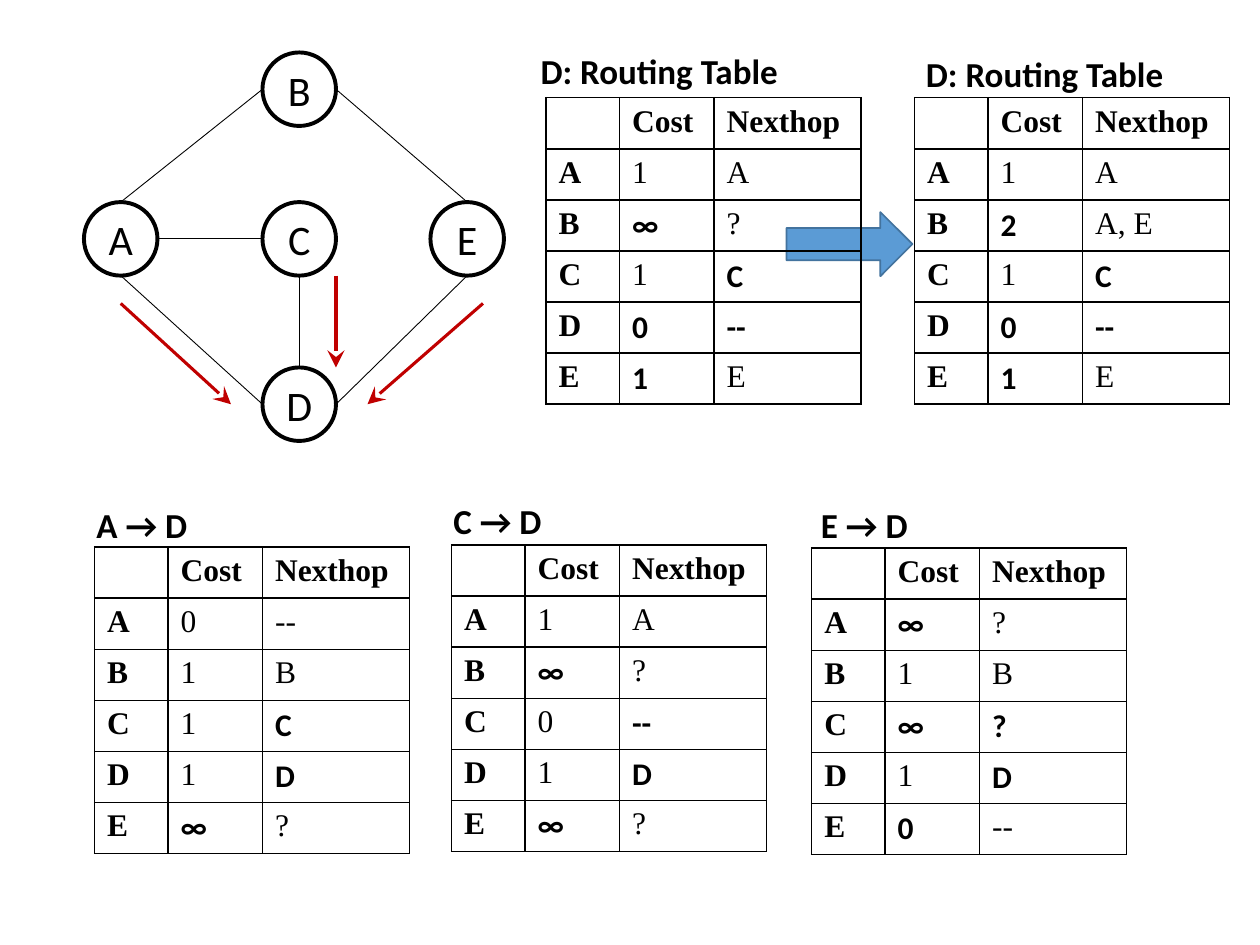
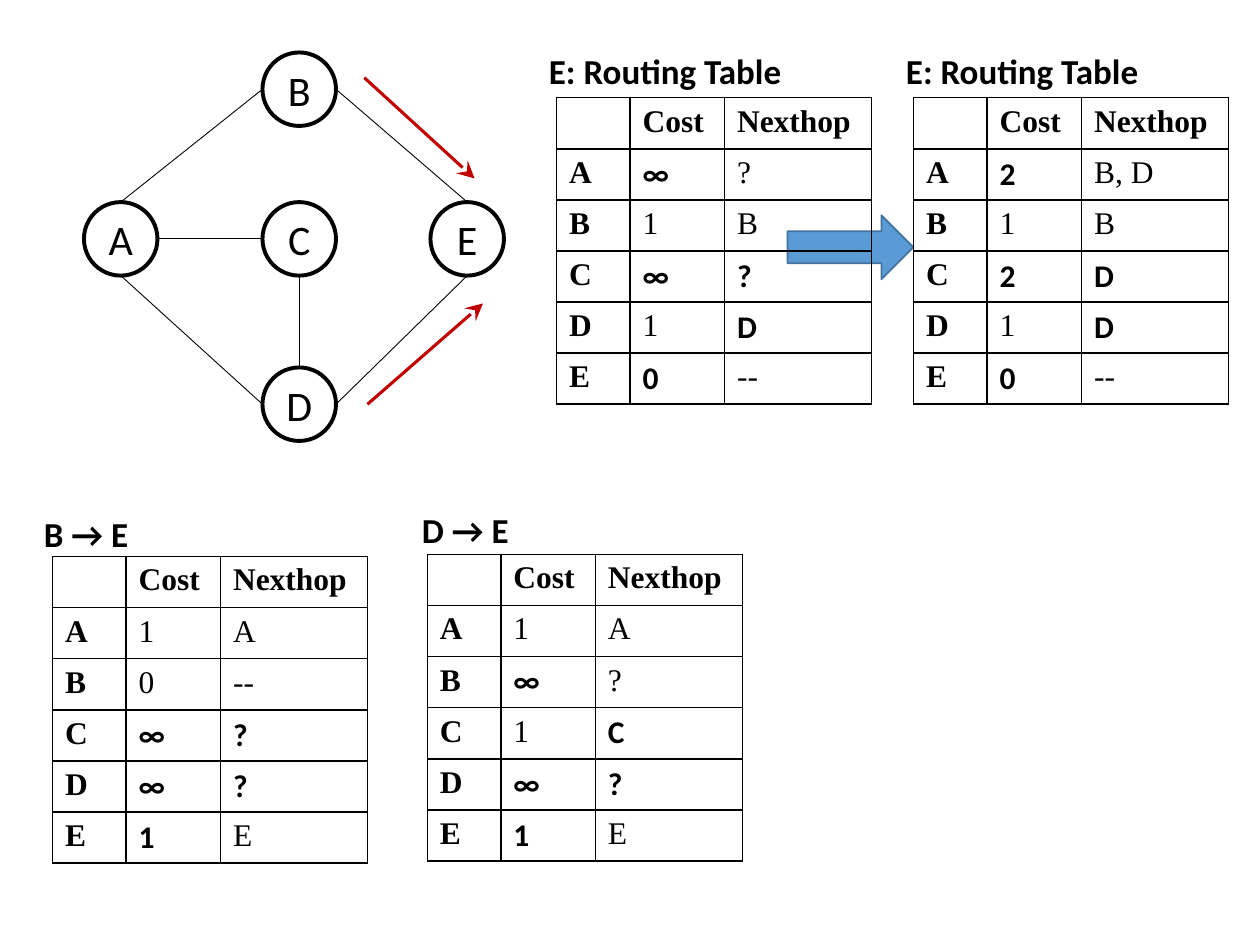
"""Build two slides that show distance-vector routing tables converging at nodes D and E."""
from dataclasses import dataclass

from lxml.etree import SubElement
from pptx import Presentation
from pptx.dml.color import RGBColor as Color
from pptx.enum.shapes import MSO_CONNECTOR as Connector, MSO_SHAPE as Shape
from pptx.enum.text import MSO_ANCHOR as Anchor, PP_ALIGN as Align
from pptx.oxml.ns import qn
from pptx.util import Inches, Pt


@dataclass(frozen=True)
class Theme:
    ink: Color = Color.from_string("000000")
    paper: Color = Color.from_string("FFFFFF")
    message: Color = Color.from_string("C00000")
    step: Color = Color.from_string("5B9BD5")
    step_edge: Color = Color.from_string("43739E")
    sans: str = "Calibri"
    serif: str = "Times New Roman"
    node_size: int = 24
    title_size: int = 20
    cell_size: int = 18


theme = Theme()
GRID_COLUMNS, GRID_ROWS = 120, 90
UNIT = Inches(10) / GRID_COLUMNS
NODE = 7
TABLE_COLUMNS = (7, 9, 14)
TABLE_ROW = 4.87
TITLE_WIDTH, TITLE_HEIGHT = 27, 5.25

nodes = {"A": (8, 19.25), "B": (25, 5), "C": (25, 19.25), "D": (25, 35), "E": (41, 19.25)}
side_offsets = {"top": (0.5, 0), "left": (0, 0.5), "bottom": (0.5, 1), "right": (1, 0.5)}
links = [
    ("A", "top", "B", "left"),
    ("A", "right", "C", "left"),
    ("B", "right", "E", "top"),
    ("A", "bottom", "D", "left"),
    ("C", "bottom", "D", "top"),
    ("D", "right", "E", "bottom"),
]

slides = [
    {
        "step": (74.9, 20.2),
        "messages": [((32, 26.25), (32, 35)), ((11.5, 28.9), (22, 38.5)), ((46, 28.9), (35, 38.5))],
        "tables": [
            ("A → D", (8, 47.4), (9, 52.1), "0 1 1 1 *∞", "--|B|*C|*D|?"),
            ("D: Routing Table", (50.3, 4.1), (52, 9.3), "1 *∞ 1 *0 *1", "A|?|*C|*--|E"),
            ("D: Routing Table", (87, 4.4), (87.1, 9.3), "1 *2 1 *0 *1", "A|A, E|*C|*--|E"),
            ("C → D", (42, 47), (43, 51.9), "1 *∞ 0 1 *∞", "A|?|*--|*D|?"),
            ("E → D", (77, 47.4), (77.3, 52.2), "*∞ 1 *∞ 1 *0", "?|B|*?|*D|--"),
        ],
    },
    {
        "step": (75, 20.5),
        "messages": [((34.7, 7.4), (45.2, 17)), ((35, 38.5), (46, 28.9))],
        "tables": [
            ("E: Routing Table", (51.1, 4.1), (53, 9.3), "*∞ 1 *∞ 1 *0", "?|B|*?|*D|--"),
            ("E: Routing Table", (85.1, 4.1), (87, 9.3), "*2 1 *2 1 *0", "B, D|B|*D|*D|--"),
            ("B → E", (3, 48.2), (5, 53), "1 0 *∞ *∞ *1", "A|--|*?|*?|E"),
            ("D → E", (39, 47.8), (40.7, 52.8), "1 *∞ 1 *∞ *1", "A|?|*C|*?|E"),
        ],
    },
]


def write(text_frame, text, font_name, size, bold=False):
    text_frame.text = text
    for run in text_frame.paragraphs[0].runs:
        run.font.name = font_name
        run.font.size = Pt(size)
        run.font.bold = bold
        run.font.color.rgb = theme.ink


def draw_line(slide, start, end, color, width):
    ends = [int(value * UNIT) for value in (*start, *end)]
    connector = slide.shapes.add_connector(Connector.STRAIGHT, *ends)
    connector.line.color.rgb = color
    connector.line.width = Pt(width)
    SubElement(connector.element.spPr, qn("a:effectLst"))
    return connector


presentation = Presentation()
presentation.slide_width = int(GRID_COLUMNS * UNIT)
presentation.slide_height = int(GRID_ROWS * UNIT)

for content in slides:
    slide = presentation.slides.add_slide(presentation.slide_layouts[6])

    for name, (left, top) in nodes.items():
        box = [int(value * UNIT) for value in (left, top, NODE, NODE)]
        circle = slide.shapes.add_shape(Shape.OVAL, *box)
        circle.shadow.inherit = False
        circle.fill.solid()
        circle.fill.fore_color.rgb = theme.paper
        circle.line.color.rgb = theme.ink
        circle.line.width = Pt(2.25)
        frame = circle.text_frame
        frame.margin_left = frame.margin_right = frame.margin_top = frame.margin_bottom = 0
        frame.vertical_anchor = Anchor.MIDDLE
        write(frame, name, theme.sans, theme.node_size)
        frame.paragraphs[0].alignment = Align.CENTER

    for first, first_side, second, second_side in links:
        start, end = (
            [corner + NODE * share for corner, share in zip(nodes[name], side_offsets[side])]
            for name, side in ((first, first_side), (second, second_side))
        )
        draw_line(slide, start, end, theme.ink, 0.5)

    box = [int(value * UNIT) for value in (*content["step"], 12, 6.1)]
    step_arrow = slide.shapes.add_shape(Shape.RIGHT_ARROW, *box)
    step_arrow.shadow.inherit = False
    step_arrow.fill.solid()
    step_arrow.fill.fore_color.rgb = theme.step
    step_arrow.line.color.rgb = theme.step_edge
    step_arrow.line.width = Pt(1)

    for start, end in content["messages"]:
        message = draw_line(slide, start, end, theme.message, 1.75)
        SubElement(message.line._get_or_add_ln(), qn("a:tailEnd"), type="stealth", w="lg", len="lg")

    for title, title_corner, table_corner, costs, hops in content["tables"]:
        box = [int(value * UNIT) for value in (*title_corner, TITLE_WIDTH, TITLE_HEIGHT)]
        title_frame = slide.shapes.add_textbox(*box).text_frame
        title_frame.word_wrap = True
        write(title_frame, title, theme.sans, theme.title_size, bold=True)

        rows = [("", "Cost", "Nexthop"), *zip(nodes, costs.split(), hops.split("|"))]
        size = (sum(TABLE_COLUMNS), TABLE_ROW * len(rows))
        box = [int(value * UNIT) for value in (*table_corner, *size)]
        table = slide.shapes.add_table(len(rows), len(TABLE_COLUMNS), *box).table
        table.first_row = table.horz_banding = False
        for column, width in zip(table.columns, TABLE_COLUMNS):
            column.width = int(width * UNIT)
        for row_index, row in enumerate(rows):
            table.rows[row_index].height = int(TABLE_ROW * UNIT)
            for column_index, text in enumerate(row):
                cell = table.cell(row_index, column_index)
                strong = text.startswith("*")
                bold = strong or row_index == 0 or column_index == 0
                font_name = theme.sans if strong else theme.serif
                write(cell.text_frame, text.lstrip("*"), font_name, theme.cell_size, bold)
                properties = cell._tc.get_or_add_tcPr()
                for side in ("lnL", "lnR", "lnT", "lnB"):
                    border = SubElement(properties, qn(f"a:{side}"), w=str(Pt(1)))
                    fill = SubElement(border, qn("a:solidFill"))
                    SubElement(fill, qn("a:srgbClr"), val=str(theme.ink))
                cell.fill.background()

presentation.save("out.pptx")
